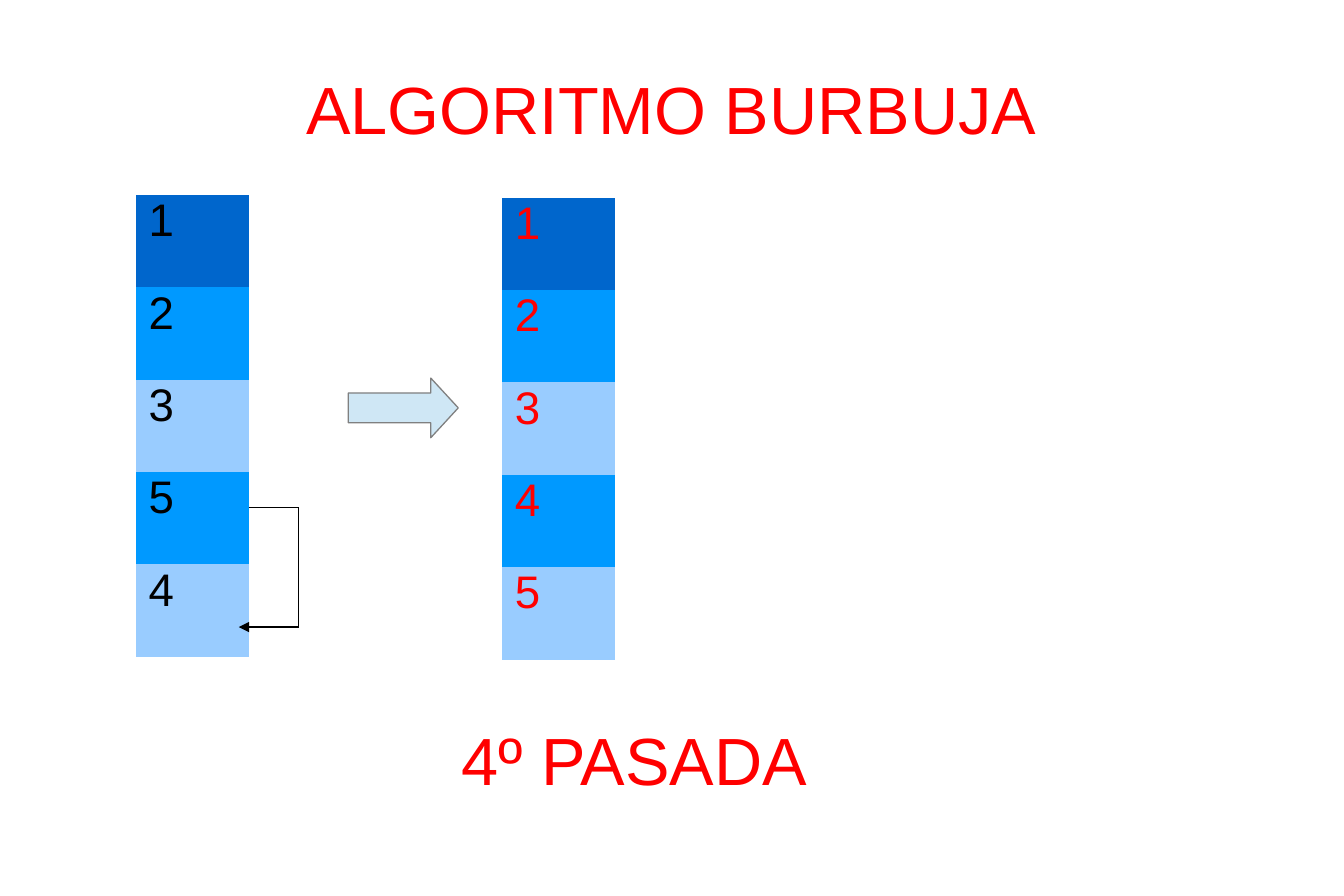
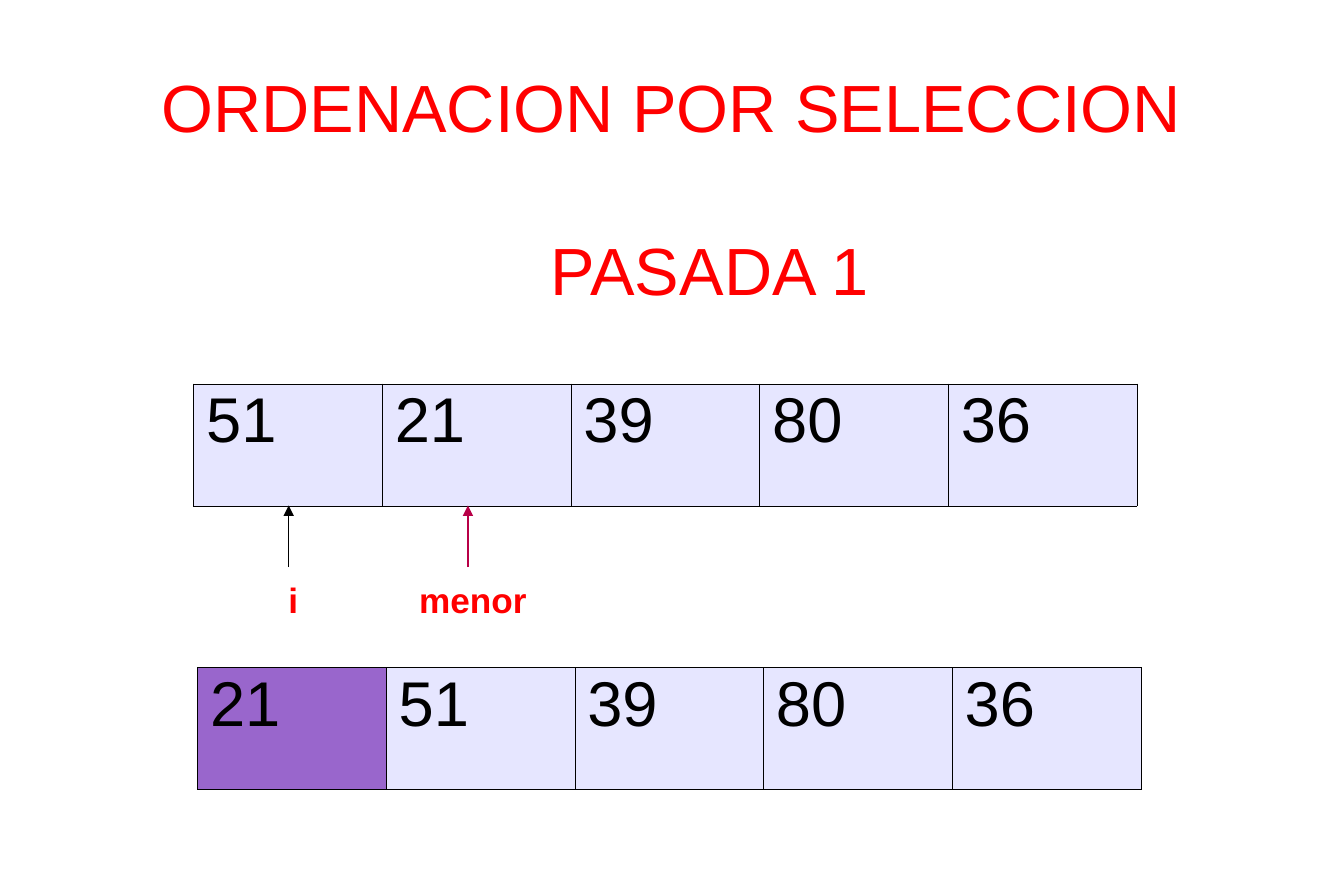
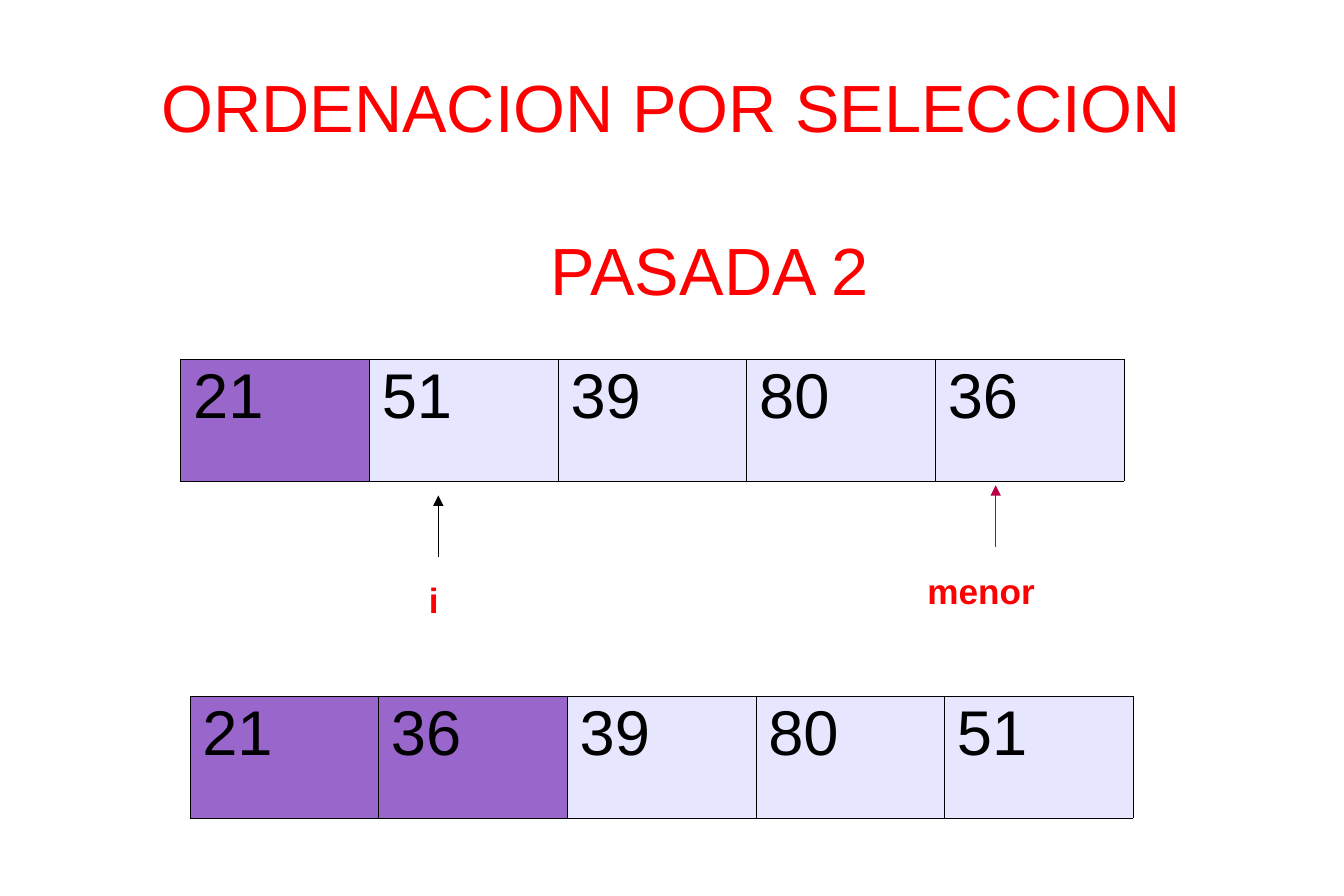
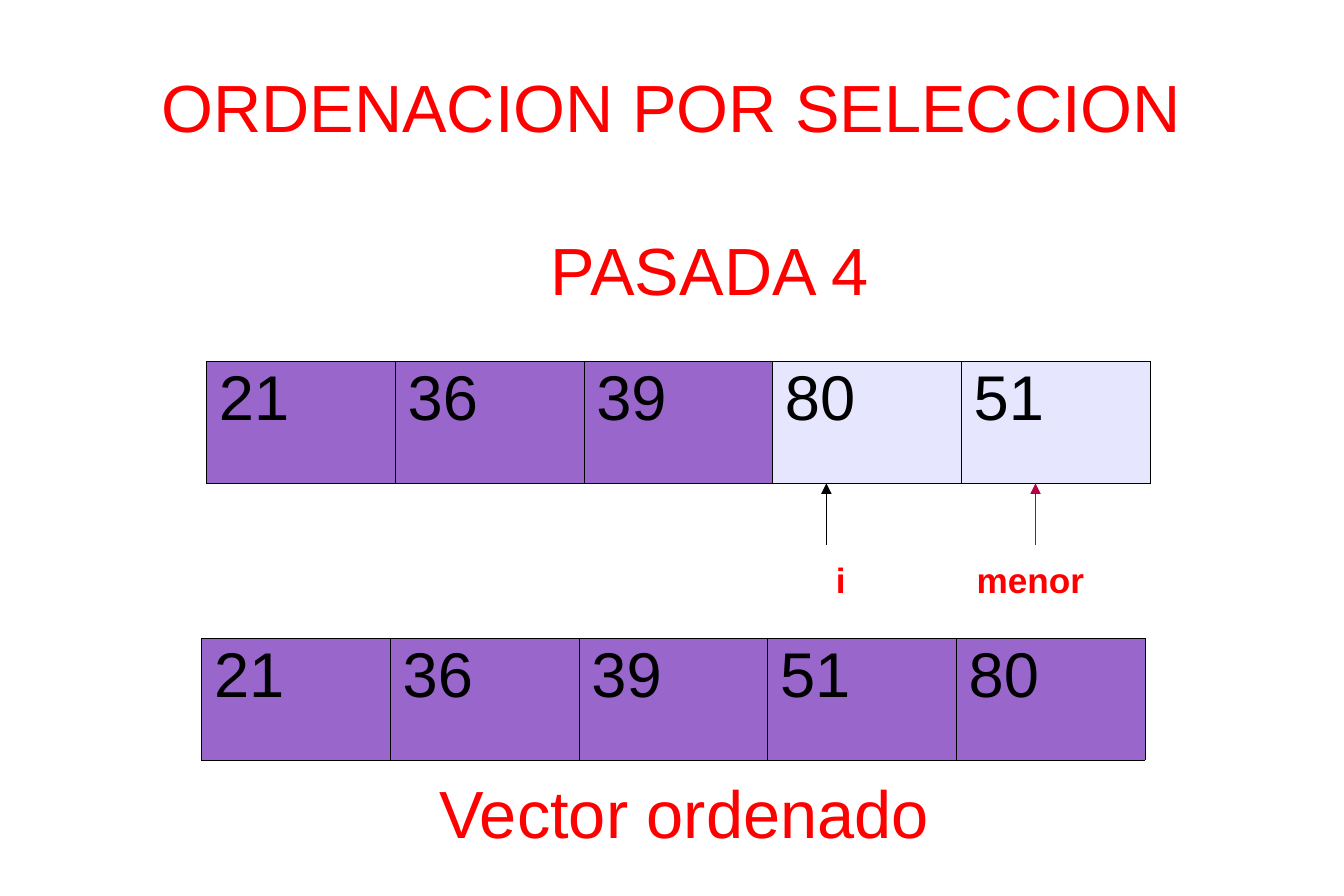
from pptx import Presentation
from pptx.dml.color import RGBColor
from pptx.enum.shapes import MSO_CONNECTOR, MSO_SHAPE
from pptx.enum.text import MSO_ANCHOR, PP_ALIGN
from pptx.oxml.ns import qn
from pptx.util import Pt
from lxml import etree

STRAIGHT = MSO_CONNECTOR.STRAIGHT
RIGHT_ARROW = MSO_SHAPE.RIGHT_ARROW
MIDDLE = MSO_ANCHOR.MIDDLE
LEFT, CENTER = PP_ALIGN.LEFT, PP_ALIGN.CENTER

RED = RGBColor(0xFF, 0x00, 0x00)
BLACK = RGBColor(0x00, 0x00, 0x00)
CRIMSON = RGBColor(0xB8, 0x00, 0x47)
DARK_BLUE = RGBColor(0x00, 0x66, 0xCC)
BLUE = RGBColor(0x00, 0x99, 0xFF)
LIGHT_BLUE = RGBColor(0x99, 0xCC, 0xFF)
PALE_BLUE = RGBColor(0xCF, 0xE7, 0xF5)
GREY = RGBColor(0x80, 0x80, 0x80)
PURPLE = RGBColor(0x99, 0x66, 0xCC)
LAVENDER = RGBColor(0xE6, 0xE6, 0xFF)

FONT = "Arial"
SLIDE_SIZE = (765.36, 510.48)
NO_TABLE_STYLE = "{2D5ABB26-0587-4C30-8999-92F81FD0307C}"
STACK_FILLS = (DARK_BLUE, BLUE, LIGHT_BLUE, BLUE, LIGHT_BLUE)
STACK_CELL = (64.3, 52.65)
VECTOR_CELL = (107.45, 69.6)
HEADING_WIDTH, HEADING_HEIGHT = 688.5, 85
LABEL_WIDTH, LABEL_HEIGHT = 96, 39.6
POINTER_LENGTH = 35.2

# Each pass: heading, then vectors (left, top, values, sorted count), then
# pointers (label, arrow x, tip y, label centre x, label top).
PASSES = [
    ("PASADA 1",
     [(110.2, 218.7, (51, 21, 39, 80, 36), 0),
      (112.4, 380.2, (21, 51, 39, 80, 36), 1)],
     [("i", 164.4, 288, 167, 323.3),
      ("menor", 266.5, 288, 269.3, 323.3)]),
    ("PASADA 2",
     [(102.8, 204.6, (21, 51, 39, 80, 36), 1),
      (108, 396.6, (21, 36, 39, 80, 51), 2)],
     [("i", 249.6, 282.3, 247, 323.3),
      ("menor", 567, 276.5, 558.7, 317.8)]),
    ("PASADA 4",
     [(117.5, 205.9, (21, 36, 39, 80, 51), 3),
      (114.7, 363.6, (21, 36, 39, 51, 80), 5)],
     [("i", 470.6, 275.4, 478.8, 311.8),
      ("menor", 589.7, 275.4, 586.8, 311.8)]),
]


def write_text(frame, text, *, size, color, bold=False, align=LEFT, spacing=0.93):
    paragraph = frame.paragraphs[0]
    paragraph.alignment = align
    paragraph.line_spacing = spacing
    run = paragraph.add_run()
    run.text = text
    run.font.name = FONT
    run.font.size = Pt(size)
    run.font.bold = bold
    run.font.color.rgb = color


def add_label(slide, text, left, top, width, height, *, inset_top=0, **text_format):
    box = slide.shapes.add_textbox(Pt(left), Pt(top), Pt(width), Pt(height))
    frame = box.text_frame
    frame.word_wrap = True
    frame.vertical_anchor = MIDDLE
    frame.margin_left = frame.margin_right = frame.margin_bottom = 0
    frame.margin_top = Pt(inset_top)
    write_text(frame, text, color=RED, align=CENTER, **text_format)


def add_heading(slide, text, left, top, height=HEADING_HEIGHT, inset_top=0):
    add_label(slide, text, left, top, HEADING_WIDTH, height,
              inset_top=inset_top, size=38)


def add_title(slide, text, inset_top=0):
    add_heading(slide, text, 38.2, 20.2, inset_top=inset_top)


def add_line(slide, start, end, color=BLACK, arrow=False):
    line = slide.shapes.add_connector(STRAIGHT, *map(Pt, start + end))
    line.line.color.rgb = color
    line.line.width = Pt(0.75)
    if arrow:
        etree.SubElement(line.line._get_or_add_ln(), qn("a:tailEnd"), type="triangle")
    etree.SubElement(line._element.spPr, qn("a:effectLst"))


def add_hairline_borders(cell):
    properties = cell._tc.get_or_add_tcPr()
    for side in ("a:lnL", "a:lnR", "a:lnT", "a:lnB"):
        border = etree.SubElement(properties, qn(side), w=str(Pt(0.06)))
        fill = etree.SubElement(border, qn("a:solidFill"))
        etree.SubElement(fill, qn("a:srgbClr"), val=str(BLACK))


def add_array(slide, left, top, values, fills, cell_size, *, vertical=False,
              borders=False, **text_format):
    """Draw a one-dimensional array as a table of equal cells."""
    rows, columns = (len(values), 1) if vertical else (1, len(values))
    width, height = cell_size
    table = slide.shapes.add_table(rows, columns, Pt(left), Pt(top),
                                   Pt(width * columns), Pt(height * rows)).table
    table.first_row = table.horz_banding = False
    table._tbl.tblPr.find(qn("a:tableStyleId")).text = NO_TABLE_STYLE
    for column in table.columns:
        column.width = Pt(width)
    for row in table.rows:
        row.height = Pt(height)
    for cell, value, fill in zip(table.iter_cells(), values, fills):
        if borders:
            add_hairline_borders(cell)
        cell.fill.solid()
        cell.fill.fore_color.rgb = fill
        write_text(cell.text_frame, str(value), **text_format)


def add_stack(slide, left, top, values, color):
    add_array(slide, left, top, values, STACK_FILLS, STACK_CELL, vertical=True,
              size=26, color=color, spacing=0.87)


def add_vector(slide, left, top, values, sorted_count):
    fills = [PURPLE if index < sorted_count else LAVENDER
             for index in range(len(values))]
    add_array(slide, left, top, values, fills, VECTOR_CELL, borders=True,
              size=36, color=BLACK)


def add_pointer(slide, text, x, tip, label_center, label_top):
    color = BLACK if text == "i" else CRIMSON
    add_line(slide, (x, tip + POINTER_LENGTH), (x, tip), color, arrow=True)
    add_label(slide, text, label_center - LABEL_WIDTH / 2, label_top,
              LABEL_WIDTH, LABEL_HEIGHT, size=20, bold=True)


def add_swap_path(slide):
    right, upper, lower = 170, 289.3, 357.3
    add_line(slide, (141.8, upper), (right, upper))
    add_line(slide, (right, upper), (right, lower))
    add_line(slide, (right, lower), (136, lower), arrow=True)


def add_result_arrow(slide):
    arrow = slide.shapes.add_shape(RIGHT_ARROW, Pt(198.4), Pt(215.4), Pt(62.6), Pt(34))
    arrow.adjustments[0] = 0.5
    arrow.adjustments[1] = 0.46
    arrow.shadow.inherit = False
    arrow.fill.solid()
    arrow.fill.fore_color.rgb = PALE_BLUE
    arrow.line.color.rgb = GREY
    arrow.line.width = Pt(0.75)


def build_bubble_slide(slide):
    add_title(slide, "ALGORITMO BURBUJA", inset_top=2.8)
    add_stack(slide, 77.5, 111, (1, 2, 3, 5, 4), BLACK)
    add_stack(slide, 286, 112.6, (1, 2, 3, 4, 5), RED)
    add_swap_path(slide)
    add_result_arrow(slide)
    add_heading(slide, "4º PASADA", 17, 391, inset_top=2.8)


def build_selection_slide(slide, heading, vectors, pointers):
    add_title(slide, "ORDENACION POR SELECCION")
    add_heading(slide, heading, 60, 113.3)
    for vector in vectors:
        add_vector(slide, *vector)
    for pointer in pointers:
        add_pointer(slide, *pointer)


def main():
    presentation = Presentation()
    presentation.slide_width, presentation.slide_height = map(Pt, SLIDE_SIZE)
    blank = presentation.slide_layouts[6]
    build_bubble_slide(presentation.slides.add_slide(blank))
    for selection_pass in PASSES:
        slide = presentation.slides.add_slide(blank)
        build_selection_slide(slide, *selection_pass)
    add_heading(slide, "Vector ordenado", 45.4, 436.4, height=57)
    presentation.save("out.pptx")


if __name__ == "__main__":
    main()
